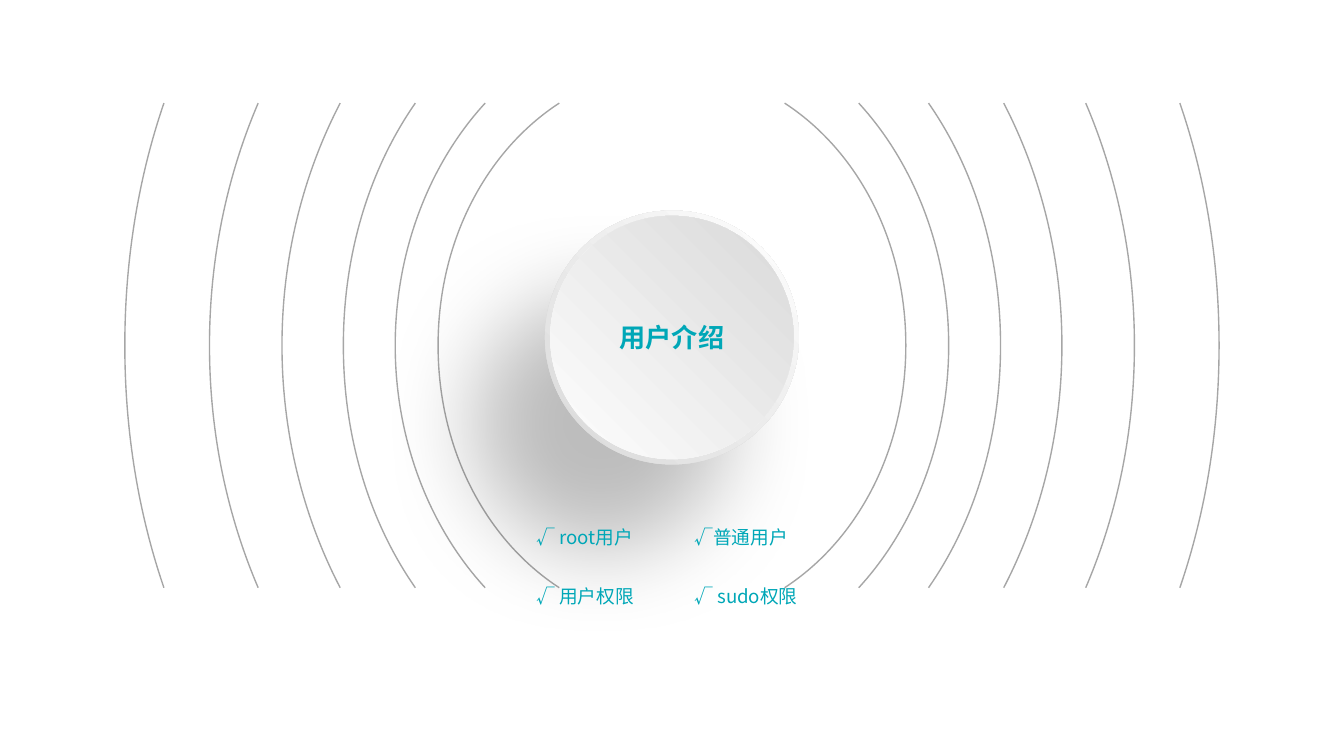
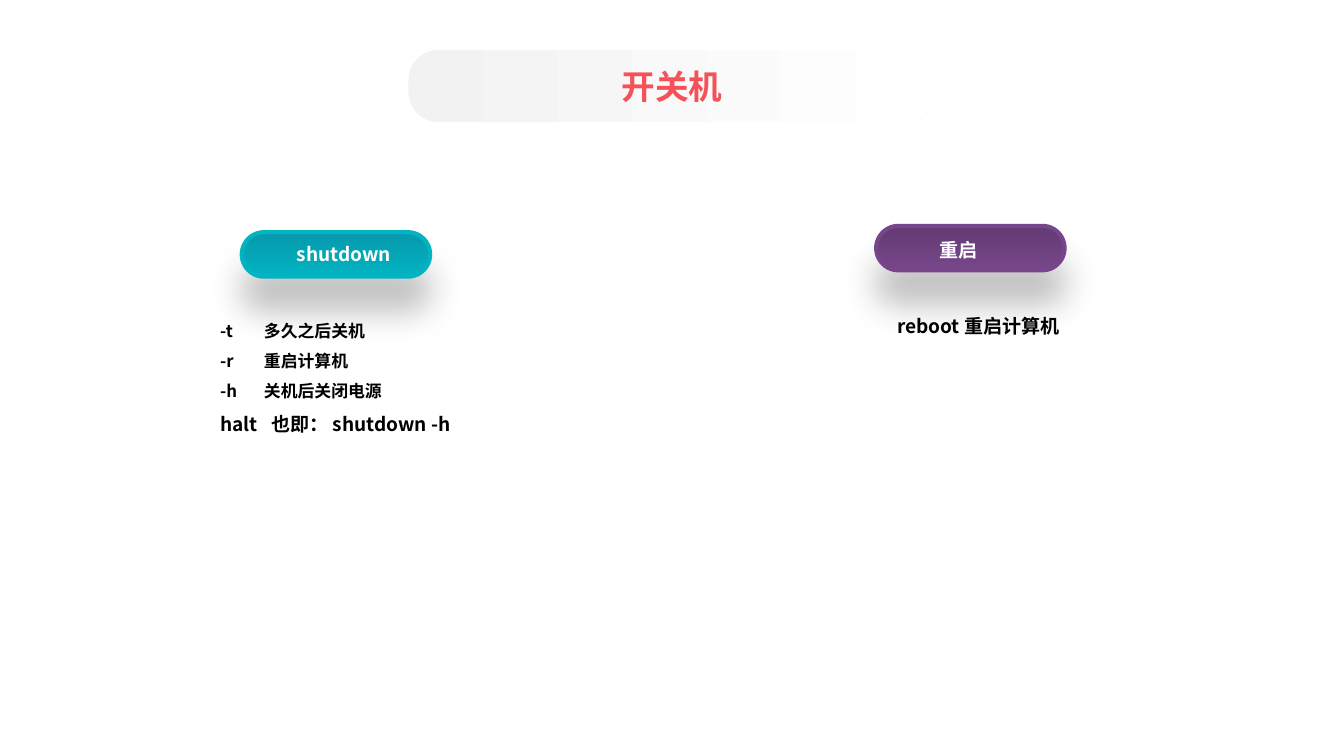
from dataclasses import dataclass, field
from typing import Any, NamedTuple

from lxml import etree
from pptx import Presentation
from pptx.dml.color import RGBColor
from pptx.enum.shapes import MSO_SHAPE
from pptx.enum.text import MSO_ANCHOR, MSO_AUTO_SIZE, PP_ALIGN
from pptx.oxml.ns import qn
from pptx.util import Cm, Pt

OVAL, ROUND = MSO_SHAPE.OVAL, MSO_SHAPE.ROUNDED_RECTANGLE
MIDDLE, TOP = MSO_ANCHOR.MIDDLE, MSO_ANCHOR.TOP
LEFT, CENTER = PP_ALIGN.LEFT, PP_ALIGN.CENTER
GROW = MSO_AUTO_SIZE.SHAPE_TO_FIT_TEXT
FACE = "Noto Sans CJK SC"

WHITE = RGBColor(0xFF, 0xFF, 0xFF)
BLACK = RGBColor(0x00, 0x00, 0x00)
PALE = RGBColor(0xFE, 0xFE, 0xFE)
MIST = RGBColor(0xF2, 0xF2, 0xF2)
SILVER = RGBColor(0xD9, 0xD9, 0xD9)
GRAY = RGBColor(0xA6, 0xA6, 0xA6)
DARK = RGBColor(0x26, 0x26, 0x26)
CYAN = RGBColor(0x00, 0xA7, 0xB7)
TEAL = RGBColor(0x06, 0x99, 0xAC)
AQUA = RGBColor(0x02, 0xB3, 0xC1)
PLUM = RGBColor(0x63, 0x3B, 0x73)
GRAPE = RGBColor(0x77, 0x46, 0x8A)
RED = RGBColor(0xF4, 0x51, 0x59)


class Box(NamedTuple):
    """Left, top, width and height in centimetres."""
    left: float
    top: float
    width: float
    height: float

    def emu(self) -> list[int]:
        return [Cm(n) for n in self]


class Ring(NamedTuple):
    """Distances of one arc pair from the centre, in centimetres."""
    tip: float
    bend: float
    edge: float
    high: float
    low: float


class Shade(NamedTuple):
    color: RGBColor
    alpha: int
    blur: int
    dist: int
    angle: int


@dataclass
class Line:
    text: str
    size: float
    tab: float = 0


@dataclass
class Style:
    font: dict[str, Any]
    align: Any = LEFT
    space: float = 1.0
    frame: dict[str, Any] = field(default_factory=dict)


@dataclass
class Pill:
    box: Box
    dark: RGBColor
    light: RGBColor
    label: str
    spot: Box


MID_X, MID_Y, HALF = 12.7, 6.53, 4.58
RINGS = [
    Ring(2.13, 3.51, 4.42, 3.68, 1.98),
    Ring(3.53, 4.57, 5.23, 3.45, 1.80),
    Ring(4.85, 5.72, 6.21, 3.33, 1.73),
    Ring(6.27, 6.96, 7.37, 3.25, 1.68),
    Ring(7.82, 8.41, 8.74, 3.20, 1.65),
    Ring(9.60, 10.08, 10.34, 3.18, 1.63),
]
DISC = Box(10.3, 3.98, 4.8, 4.8)
FACE_BOX = Box(10.4, 4.08, 4.6, 4.6)
CHECKS = [["√ root用户", "√普通用户"], ["√ 用户权限", "√ sudo权限"]]
BANNER = Box(7.72, 0.94, 9.96, 1.37)
PILLS = [
    Pill(Box(4.57, 4.39, 3.56, 0.84), TEAL, AQUA, "shutdown", Box(5.36, 4.45, 2.34, 0.69)),
    Pill(Box(16.56, 4.27, 3.56, 0.84), PLUM, GRAPE, "重启", Box(17.5, 4.39, 1.24, 0.69)),
]
FLAGS = [
    Line("-t\t多久之后关机", 9, 0.83),
    Line("-r\t重启计算机", 9, 0.83),
    Line("-h\t关机后关闭电源", 9, 0.83),
    Line("halt\t也即： shutdown -h", 10.2, 0.97),
]

GLOW = Shade(BLACK, 25, 50, 60, 130)
DROP = Shade(DARK, 28, 18, 18, 90)

WRAP = {"word_wrap": True, "auto_size": GROW, "vertical_anchor": TOP}
TIGHT = {"margin_left": Cm(0.18), "margin_right": Cm(0.18),
         "margin_top": Cm(0.08), "margin_bottom": Cm(0.08)}
SOLID = {"word_wrap": True, "vertical_anchor": MIDDLE}
HUB = Style({"bold": True, "color": CYAN}, CENTER,
            frame=SOLID | {"margin_left": 0, "margin_right": 0})
CHECK = Style({"color": CYAN}, frame=WRAP | TIGHT)
HEAD = Style({"bold": True, "color": RED}, CENTER, frame=SOLID)
LABEL = Style({"bold": True, "color": WHITE}, frame=WRAP | {"word_wrap": False})
NOTES = Style({"bold": True, "color": BLACK}, space=1.5, frame=WRAP)
REMARK = Style({"bold": True, "color": BLACK}, CENTER, 1.5, WRAP)


def node(root: Any, tag: str, **attrs: Any) -> Any:
    return etree.SubElement(root, qn(tag), {k: str(v) for k, v in attrs.items()})


def write(shape: Any, lines: list[Line], style: Style) -> None:
    frame = shape.text_frame
    for key, value in style.frame.items():
        setattr(frame, key, value)
    for i, line in enumerate(lines):
        para = frame.add_paragraph() if i else frame.paragraphs[0]
        para.alignment, para.line_spacing = style.align, style.space
        if line.tab:
            tabs = node(para._p.get_or_add_pPr(), "a:tabLst")
            node(tabs, "a:tab", pos=Cm(line.tab), algn="l")
        run = para.add_run()
        run.text = line.text
        form = {"name": FACE, "size": Pt(line.size)} | style.font
        run.font.color.rgb = form.pop("color")
        for key, value in form.items():
            setattr(run.font, key, value)
        node(run._r.get_or_add_rPr(), "a:ea", typeface=FACE)


def label(shapes: Any, box: Box, lines: list[Line], style: Style) -> None:
    write(shapes.add_textbox(*box.emu()), lines, style)


def blend(shape: Any, fill: Any, stops: dict[int, RGBColor], angle: int | None = None) -> None:
    """Fill with a linear gradient, or a radial one from the top right corner."""
    fill.gradient()
    grad = shape._element.xpath(".//a:gradFill")[-1]
    for child in list(grad):
        grad.remove(child)
    ramp = node(grad, "a:gsLst")
    for at, color in stops.items():
        node(node(ramp, "a:gs", pos=at * 1000), "a:srgbClr", val=color)
    if angle is None:
        rim = node(grad, "a:path", path="circle")
        node(rim, "a:fillToRect", l=100000, b=100000)
    else:
        node(grad, "a:lin", ang=angle * 60000, scaled=0)


def solid(shapes: Any, kind: Any, box: Box, stops: dict[int, RGBColor],
          angle: int | None = None) -> Any:
    shape = shapes.add_shape(kind, *box.emu())
    shape.shadow.inherit = False
    blend(shape, shape.fill, stops, angle)
    shape.line.fill.background()
    return shape


def cast(shape: Any, shade: Shade) -> None:
    effects = shape._element.spPr.find(qn("a:effectLst"))
    outer = node(effects, "a:outerShdw", blurRad=Pt(shade.blur), dist=Pt(shade.dist),
                 dir=shade.angle * 60000, algn="ctr", rotWithShape=0)
    color = node(outer, "a:srgbClr", val=shade.color)
    node(color, "a:alpha", val=shade.alpha * 1000)


def arcs(shapes: Any, ring: Ring) -> None:
    """Draw a mirrored pair of arcs, two cubic curves on each side."""
    upper = [(ring.tip, -HALF), (ring.bend, -ring.high), (ring.edge, -ring.low)]
    lower = [(x, -y) for x, y in reversed(upper)]
    track = upper + [(ring.edge, 0)] + lower
    sides = [[(Cm(MID_X + sign * x), Cm(MID_Y + y)) for x, y in track] for sign in (1, -1)]
    pen = shapes.build_freeform(*sides[0][0])
    pen.add_line_segments(sides[0][1:], close=False)
    pen.move_to(*sides[1][0])
    pen.add_line_segments(sides[1][1:], close=False)
    shape = pen.convert_to_shape()
    # Each run of three points becomes one curve
    steps = shape._element.xpath(".//a:lnTo")
    for i in range(0, len(steps), 3):
        curve = etree.Element(qn("a:cubicBezTo"))
        steps[i].addprevious(curve)
        for step in steps[i:i + 3]:
            curve.append(step[0])
            step.getparent().remove(step)
    shape.shadow.inherit = False
    shape.fill.background()
    shape.line.color.rgb = GRAY
    shape.line.width = Pt(0.75)


def button(slide: Any, pill: Pill) -> None:
    shapes = slide.shapes.add_group_shape().shapes
    body = solid(shapes, ROUND, pill.box, {0: pill.dark, 100: pill.light}, 90)
    body.adjustments[0] = 0.5
    blend(body, body.line.fill, {0: pill.dark, 50: pill.light, 100: pill.light}, 90)
    body.line.width = Pt(2.25)
    cast(body, DROP)
    label(shapes, pill.spot, [Line(pill.label, 10.2)], LABEL)


def users(slide: Any) -> None:
    for ring in RINGS:
        arcs(slide.shapes, ring)
    # Central disc
    hub = slide.shapes.add_group_shape().shapes
    cast(solid(hub, OVAL, DISC, {0: WHITE, 100: SILVER}), GLOW)
    top = solid(hub, OVAL, FACE_BOX, {0: SILVER, 100: PALE})
    write(top, [Line("用户介绍", 14)], HUB)
    # Topic grid
    for row, names in enumerate(CHECKS):
        for col, name in enumerate(names):
            box = Box(9.96 + 2.99 * col, 9.86 + 1.11 * row, 2.84 - 0.1 * col, 0.61)
            label(slide.shapes, box, [Line(name, 10)], CHECK)


def power(slide: Any) -> None:
    for pill in PILLS:
        button(slide, pill)
    # Command notes
    label(slide.shapes, Box(3.91, 5.74, 4.98, 2.57), FLAGS, NOTES)
    label(slide.shapes, Box(16.18, 5.61, 4.62, 0.91), [Line("reboot 重启计算机", 10.2)], REMARK)
    # Title band
    band = solid(slide.shapes, ROUND, BANNER, {0: MIST, 99: WHITE}, 0)
    band.adjustments[0] = 0.42
    write(band, [Line("开关机", 18)], HEAD)


def main() -> None:
    deck = Presentation()
    deck.slide_width, deck.slide_height = Cm(25.4), Cm(14.29)
    for draw in (users, power):
        draw(deck.slides.add_slide(deck.slide_layouts[6]))
    deck.save("out.pptx")


if __name__ == "__main__":
    main()
